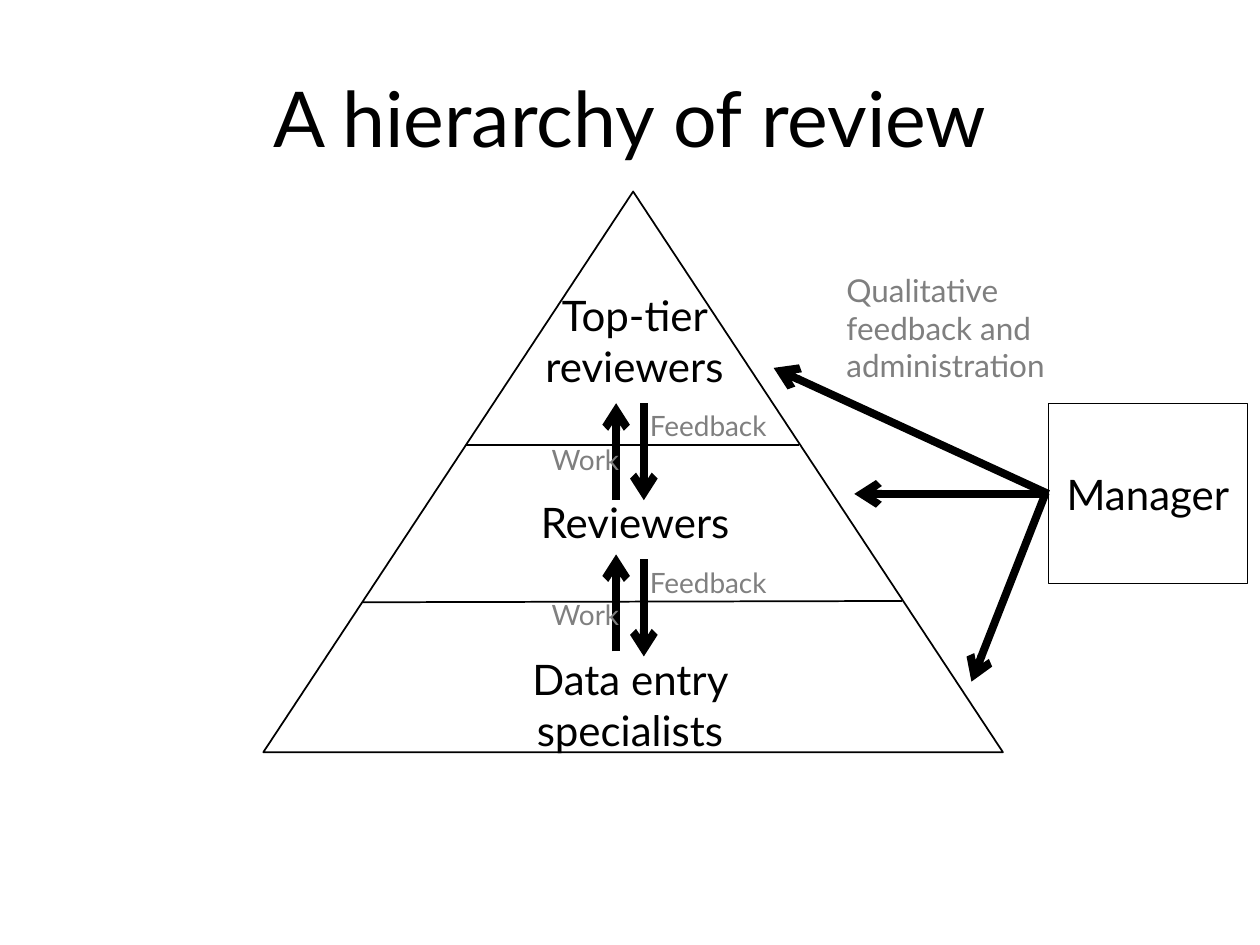
from lxml import etree
from pptx import Presentation
from pptx.dml.color import RGBColor
from pptx.enum.shapes import MSO_CONNECTOR, MSO_SHAPE
from pptx.enum.text import MSO_ANCHOR, MSO_AUTO_SIZE, PP_ALIGN
from pptx.oxml.ns import qn
from pptx.util import Inches, Pt

STRAIGHT = MSO_CONNECTOR.STRAIGHT
TRIANGLE = MSO_SHAPE.ISOSCELES_TRIANGLE
RECTANGLE = MSO_SHAPE.RECTANGLE
MIDDLE = MSO_ANCHOR.MIDDLE
FIT_SHAPE = MSO_AUTO_SIZE.SHAPE_TO_FIT_TEXT
LEFT, CENTER = PP_ALIGN.LEFT, PP_ALIGN.CENTER
TITLE_ONLY = 5
COLORS = {"black": "000000", "gray": "7F7F7F", "label": "808080"}


def write_text(frame, text, size=24, color="black", align=CENTER, font="Lato"):
    frame.word_wrap = True
    for index, line in enumerate(text.split("\n")):
        paragraph = frame.paragraphs[0] if index == 0 else frame.add_paragraph()
        paragraph.alignment = align
        run = paragraph.add_run()
        run.text = line
        run.font.name = font
        run.font.size = Pt(size)
        run.font.color.rgb = RGBColor.from_string(COLORS[color])


class SlideBuilder:
    """Holds the slide, its line style and the collection being drawn on."""

    def __init__(self, slide, line_color="black"):
        self.slide = slide
        self.shapes = slide.shapes
        self.line_color = RGBColor.from_string(COLORS[line_color])

    def start_group(self):
        self.shapes = self.slide.shapes.add_group_shape().shapes

    def end_group(self):
        self.shapes = self.slide.shapes

    def title(self, text, box):
        shape = self.slide.shapes.title
        shape.left, shape.top, shape.width, shape.height = map(Inches, box)
        shape.text_frame.vertical_anchor = MIDDLE
        write_text(shape.text_frame, text, size=44)

    def outline(self, kind, box, width, text=None):
        shape = self.shapes.add_shape(kind, *map(Inches, box))
        shape.shadow.inherit = False
        shape.fill.background()
        shape.line.color.rgb = self.line_color
        shape.line.width = Pt(width)
        if text:
            shape.text_frame.vertical_anchor = MIDDLE
            write_text(shape.text_frame, text)

    def text(self, text, box, **style):
        shape = self.shapes.add_textbox(*map(Inches, box))
        write_text(shape.text_frame, text, **style)
        shape.text_frame.auto_size = FIT_SHAPE

    def line(self, start, end, width=1, arrow=False):
        connector = self.shapes.add_connector(STRAIGHT, *map(Inches, start + end))
        connector.line.color.rgb = self.line_color
        connector.line.width = Pt(width)
        if arrow:
            line_element = connector.line._get_or_add_ln()
            etree.SubElement(line_element, qn("a:tailEnd"), type="arrow")
        etree.SubElement(connector._element.spPr, qn("a:effectLst"))

    def arrow(self, start, end):
        self.line(start, end, width=4.5, arrow=True)


def main():
    presentation = Presentation()
    presentation.slide_width = Inches(10)
    presentation.slide_height = Inches(7.5)
    slide = presentation.slides.add_slide(presentation.slide_layouts[TITLE_ONLY])
    builder = SlideBuilder(slide)
    builder.title("A hierarchy of review", (0.5, 0.3, 9, 1.25))

    # Pyramid with its three tiers
    builder.start_group()
    builder.outline(TRIANGLE, (2.09, 1.52, 5.87, 4.45), 1)
    builder.text("Top-tier reviewers", (3.79, 2.25, 2.49, 0.91))
    builder.text("Reviewers", (3.68, 3.89, 2.72, 0.5))
    builder.text("Data entry specialists", (3.4, 5.14, 3.2, 0.5))
    builder.line((3.7, 3.53), (6.34, 3.53))
    builder.line((2.88, 4.78), (7.16, 4.77))

    # Manager with an arrow to each tier
    builder.start_group()
    builder.outline(RECTANGLE, (8.32, 3.2, 1.58, 1.43), 0.75, "Manager")
    builder.arrow((8.32, 3.92), (6.14, 2.92))
    builder.arrow((8.3, 3.92), (6.78, 3.92))
    builder.arrow((8.3, 3.91), (7.71, 5.41))
    builder.text("Qualitative\nfeedback and administration", (6.62, 2.1, 2.26, 1.01),
                 size=18, color="gray", align=LEFT)

    # Work goes up and feedback comes down between tiers
    arrow_length = 0.77
    for work_top, feedback_top in ((3.2, 3.2), (4.4, 4.44)):
        builder.start_group()
        builder.arrow((4.89, work_top + arrow_length), (4.89, work_top))
        builder.arrow((5.11, feedback_top), (5.11, feedback_top + arrow_length))
    builder.end_group()

    # Arrow labels, lower pair and upper pair
    for text, left, width, tops in (("Work", 4.28, 0.81, (4.69, 3.46)),
                                    ("Feedback", 5.06, 1.14, (4.44, 3.19))):
        for top, color in zip(tops, ("label", "gray")):
            builder.text(text, (left, top, width, 0.37), size=16, color=color, align=LEFT)

    presentation.save("out.pptx")


if __name__ == "__main__":
    main()
